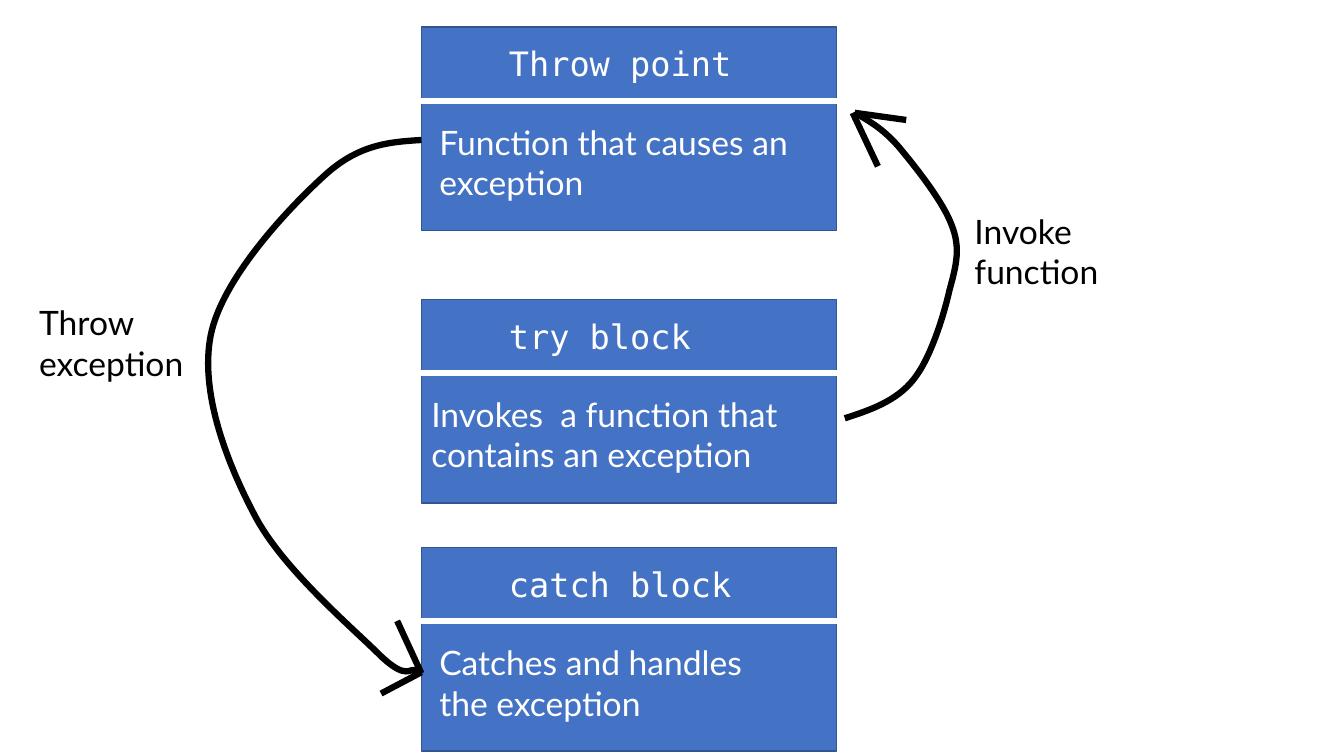
"""Builds a slide showing how an exception travels between throw point, try block and catch block."""

from dataclasses import dataclass

import pptx
import pptx.dml.color
import pptx.enum.shapes
import pptx.enum.text
import pptx.oxml
import pptx.oxml.ns
import pptx.shapes.autoshape
import pptx.slide
import pptx.util

Pt = pptx.util.Pt
RGBColor = pptx.dml.color.RGBColor
Point = tuple[float, float]

WHITE = RGBColor(0xFF, 0xFF, 0xFF)
BLACK = RGBColor(0x00, 0x00, 0x00)
BLUE = RGBColor(0x44, 0x72, 0xC4)
BORDER_BLUE = RGBColor(0x32, 0x54, 0x91)
CODE_FONT = "DejaVu Sans Mono"
BODY_FONT = "Lato"
TEXT_SIZE = 24
STROKE = 4.5

BLOCK_LEFT, BLOCK_WIDTH, BLOCK_HEIGHT = 301, 296.6, 145.4
BLOCK_RIGHT = BLOCK_LEFT + BLOCK_WIDTH
DIVIDER_OFFSET = 52.6
HEADING_LEFT, HEADING_OFFSET, HEADING_WIDTH, HEADING_HEIGHT = 356.4, 8, 201.6, 36
BODY_OFFSET, BODY_HEIGHT = 64.1, 65.5


@dataclass(frozen=True)
class Block:
    top: float
    heading: str
    body: list[str]
    body_left: float = 306.7
    body_width: float = BLOCK_WIDTH


@dataclass(frozen=True)
class CurvedArrow:
    points: list[Point]
    barbs: list[tuple[Point, Point]]


@dataclass(frozen=True)
class Label:
    left: float
    top: float
    lines: list[str]


BLOCKS = [
    Block(19.4, "Throw point", ["Function that causes an exception"]),
    Block(213.8, "try block", ["Invokes  a function that contains an exception"], BLOCK_LEFT, 342.7),
    Block(391, "catch block", ["Catches and handles", "the exception"]),
]

THROW_ARROW = CurvedArrow(
    points=[
        (301, 100),
        (277.9, 101.5), (255.6, 103), (230.4, 126.7),
        (205.2, 149.8), (158.4, 199.4), (150.5, 239.8),
        (142.6, 280.1), (162, 330.5), (182.2, 368.6),
        (202.3, 406.8), (252.7, 449.3), (271.4, 468),
        (290.9, 486.7), (293, 476.6), (296.6, 478.8),
        (300.2, 481), (297.4, 481), (294.5, 481),
    ],
    barbs=[((283.7, 443.5), (301, 481)), ((301, 480.2), (272.2, 495.4))],
)
INVOKE_ARROW = CurvedArrow(
    points=[
        (603.4, 298.8),
        (621.4, 293), (640.1, 286.6), (652.3, 271.4),
        (664.6, 256.3), (673.9, 226.1), (678.2, 207.4),
        (683.3, 188.6), (686.2, 177.1), (679.7, 160.6),
        (673.2, 143.3), (653, 118.1), (641.5, 104.4),
        (630, 91.4), (620.6, 86.4), (610.6, 80.6),
    ],
    barbs=[((609.1, 80.6), (627.1, 118.8)), ((610.6, 80.6), (647.3, 85.7))],
)
LABELS = [
    Label(20.9, 212.4, ["Throw", "exception"]),
    Label(689, 146.9, ["Invoke", "function"]),
]
LABEL_WIDTH = 138.2


def add_text(slide: pptx.slide.Slide, left: float, top: float, width: float, height: float,
             lines: list[str], font_name: str, color: RGBColor) -> None:
    shape = slide.shapes.add_textbox(Pt(left), Pt(top), Pt(width), Pt(height))
    frame = shape.text_frame
    frame.word_wrap = True
    frame.auto_size = pptx.enum.text.MSO_AUTO_SIZE.SHAPE_TO_FIT_TEXT
    frame.text = "\n".join(lines)
    for paragraph in frame.paragraphs:
        paragraph.font.name = font_name
        paragraph.font.size = Pt(TEXT_SIZE)
        paragraph.font.color.rgb = color


def add_line(slide: pptx.slide.Slide, start: Point, end: Point, color: RGBColor) -> None:
    connector = slide.shapes.add_connector(
        pptx.enum.shapes.MSO_CONNECTOR.STRAIGHT,
        Pt(start[0]), Pt(start[1]), Pt(end[0]), Pt(end[1]))
    connector.line.color.rgb = color
    connector.line.width = Pt(STROKE)
    properties = connector.element.spPr
    properties.append(pptx.oxml.parse_xml(f"<a:effectLst {pptx.oxml.ns.nsdecls('a')}/>"))


def add_block(slide: pptx.slide.Slide, block: Block) -> None:
    shape = slide.shapes.add_shape(
        pptx.enum.shapes.MSO_SHAPE.RECTANGLE,
        Pt(BLOCK_LEFT), Pt(block.top), Pt(BLOCK_WIDTH), Pt(BLOCK_HEIGHT))
    shape.shadow.inherit = False
    shape.fill.solid()
    shape.fill.fore_color.rgb = BLUE
    shape.line.color.rgb = BORDER_BLUE
    shape.line.width = Pt(1)
    divider_top = block.top + DIVIDER_OFFSET
    add_line(slide, (BLOCK_LEFT, divider_top), (BLOCK_RIGHT, divider_top), WHITE)
    add_text(slide, HEADING_LEFT, block.top + HEADING_OFFSET, HEADING_WIDTH, HEADING_HEIGHT,
             [block.heading], CODE_FONT, WHITE)
    add_text(slide, block.body_left, block.top + BODY_OFFSET, block.body_width, BODY_HEIGHT,
             block.body, BODY_FONT, WHITE)


def bend_segments(shape: pptx.shapes.autoshape.Shape) -> None:
    outline = shape.element.xpath(".//a:path")[0]
    segments = outline.xpath("./a:lnTo")
    for first in range(0, len(segments), 3):
        curve = pptx.oxml.parse_xml(f"<a:cubicBezTo {pptx.oxml.ns.nsdecls('a')}/>")
        outline.append(curve)
        for segment in segments[first:first + 3]:
            curve.append(segment[0])
            outline.remove(segment)


def add_curved_arrow(slide: pptx.slide.Slide, arrow: CurvedArrow) -> None:
    start, *others = [(Pt(x), Pt(y)) for x, y in arrow.points]
    builder = slide.shapes.build_freeform(*start)
    builder.add_line_segments(others, close=False)
    shape = builder.convert_to_shape()
    bend_segments(shape)
    shape.shadow.inherit = False
    shape.fill.background()
    shape.line.color.rgb = BLACK
    shape.line.width = Pt(STROKE)
    for start_point, end_point in arrow.barbs:
        add_line(slide, start_point, end_point, BLACK)


def main() -> None:
    presentation = pptx.Presentation()
    presentation.slide_width = Pt(960)
    presentation.slide_height = Pt(540)
    slide = presentation.slides.add_slide(presentation.slide_layouts[6])
    for block in BLOCKS:
        add_block(slide, block)
    for arrow in (THROW_ARROW, INVOKE_ARROW):
        add_curved_arrow(slide, arrow)
    for label in LABELS:
        add_text(slide, label.left, label.top, LABEL_WIDTH, BODY_HEIGHT, label.lines, BODY_FONT, BLACK)
    presentation.save("out.pptx")


if __name__ == "__main__":
    main()
